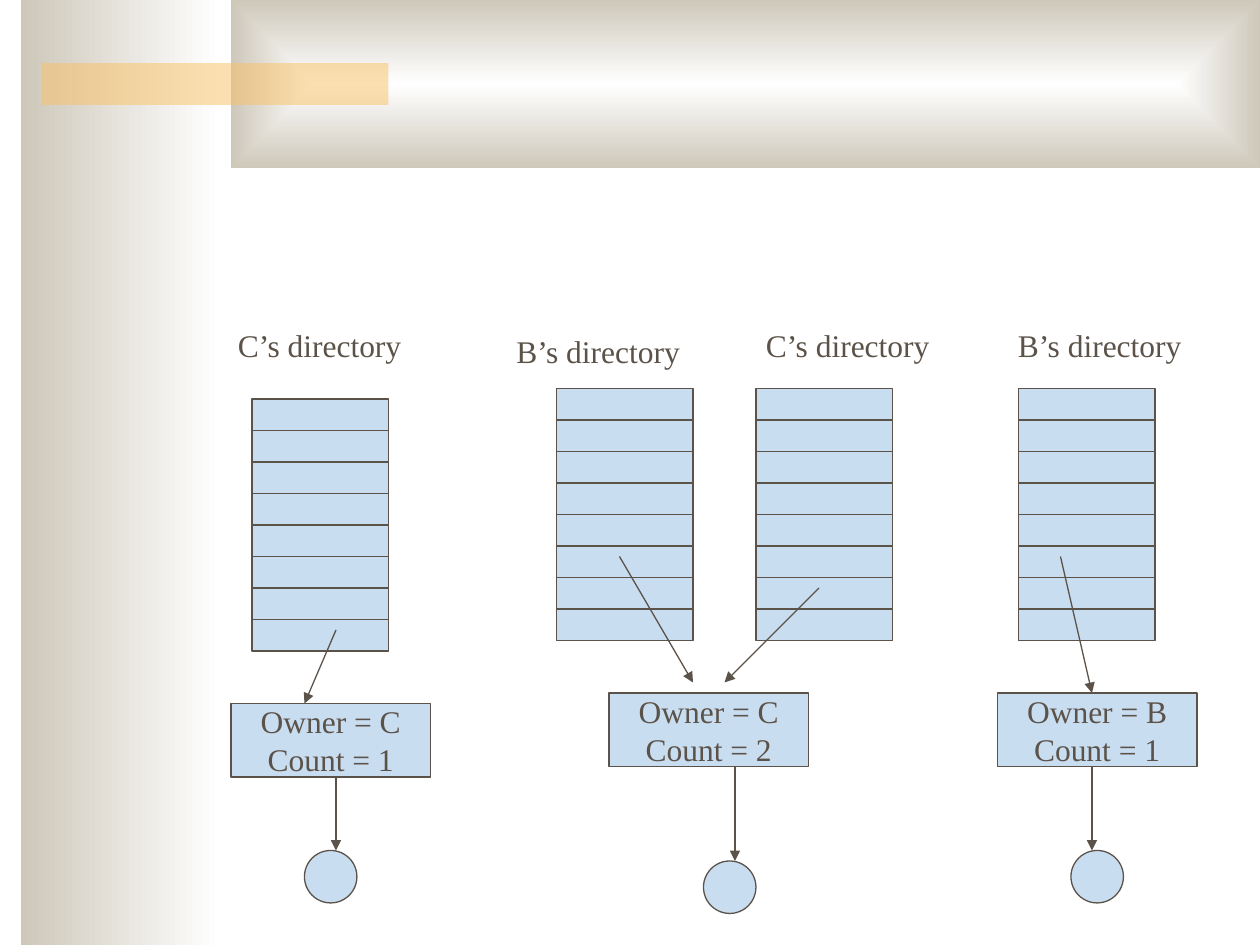
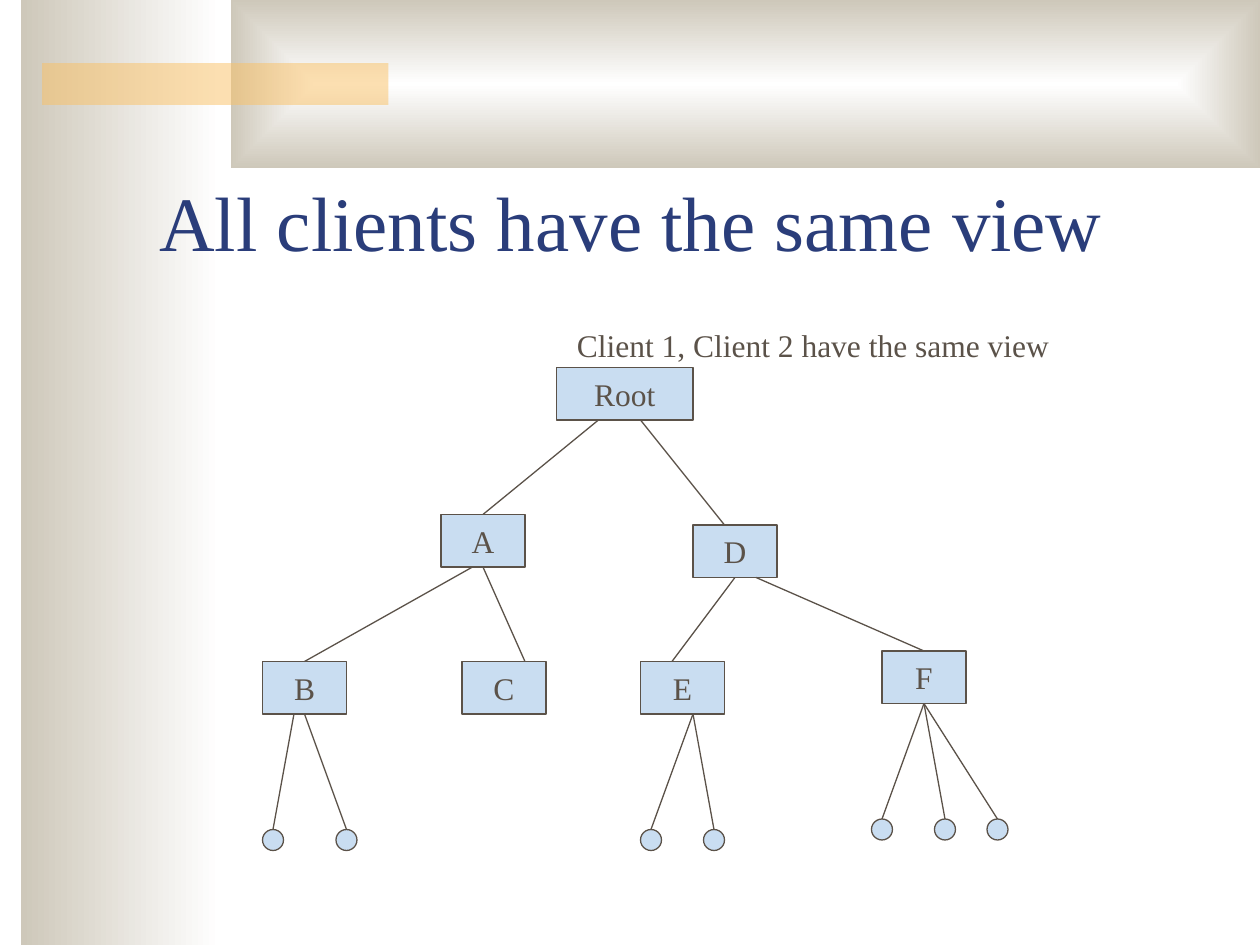
import dataclasses

import lxml.etree
import pptx
import pptx.dml.color
import pptx.enum.shapes
import pptx.enum.text
import pptx.oxml.ns
import pptx.util

Pt = pptx.util.Pt
qn = pptx.oxml.ns.qn
SHAPE = pptx.enum.shapes.MSO_SHAPE
ANCHOR = pptx.enum.text.MSO_ANCHOR
ALIGN = pptx.enum.text.PP_ALIGN


@dataclasses.dataclass(frozen=True)
class Theme:
    """Colours and type sizes of the deck."""
    white: str = "FFFFFF"
    sand: str = "CEC8BA"
    amber: str = "FAC164"
    sky: str = "C9DDF1"
    ink: str = "5B5249"
    navy: str = "2A3D7A"
    font: str = "Times New Roman"
    title_size: int = 44
    body_size: int = 18
    line_width: float = 0.75


THEME = Theme()


def rgb(value):
    """Turn a hex string into a colour."""
    return pptx.dml.color.RGBColor.from_string(value)


def add_xml(parent, tag, **attributes):
    """Append a drawing element to a parent and return it."""
    return lxml.etree.SubElement(parent, qn(tag), attributes)


def write(shape, text, size=THEME.body_size, color=THEME.ink, align=ALIGN.LEFT):
    """Fill a shape with text, one paragraph a line."""
    tf = shape.text_frame
    tf.text = text
    for p in tf.paragraphs:
        p.alignment = align
        for r in p.runs:
            r.font.name = THEME.font
            r.font.size = Pt(size)
            r.font.color.rgb = rgb(color)
    return tf


def add_block(s, kind, left, top, width, height, fill=THEME.sky, outlined=True):
    """Add a filled preset shape without a shadow."""
    sp = s.shapes.add_shape(kind, Pt(left), Pt(top), Pt(width), Pt(height))
    sp.shadow.inherit = False
    sp.fill.solid()
    sp.fill.fore_color.rgb = rgb(fill)
    if outlined:
        sp.line.color.rgb = rgb(THEME.ink)
        sp.line.width = Pt(THEME.line_width)
    else:
        sp.line.fill.background()
    return sp


def add_node(s, text, left, top, width, height):
    """Add a box with centred text."""
    sp = add_block(s, SHAPE.RECTANGLE, left, top, width, height)
    tf = write(sp, text, align=ALIGN.CENTER)
    tf.word_wrap = False
    tf.vertical_anchor = ANCHOR.MIDDLE
    return sp


def add_circle(s, left, top, diameter):
    """Add a round file marker."""
    return add_block(s, SHAPE.FLOWCHART_CONNECTOR, left, top, diameter, diameter)


def add_label(s, text, left, top, width):
    """Add a one-line free label."""
    tb = s.shapes.add_textbox(Pt(left), Pt(top), Pt(width), Pt(29))
    tf = write(tb, text)
    tf.word_wrap = False
    tf.auto_size = pptx.enum.text.MSO_AUTO_SIZE.SHAPE_TO_FIT_TEXT


def add_title(s, text):
    """Add the slide title."""
    tb = s.shapes.add_textbox(Pt(84), Pt(66), Pt(612), Pt(90))
    tf = write(tb, text, THEME.title_size, THEME.navy)
    tf.word_wrap = True
    tf.vertical_anchor = ANCHOR.BOTTOM


def add_line(s, x1, y1, x2, y2, arrow=False):
    """Add a straight line, with an arrowhead at its end if wanted."""
    cx = s.shapes.add_connector(pptx.enum.shapes.MSO_CONNECTOR.STRAIGHT, x1, y1, x2, y2)
    cx.line.color.rgb = rgb(THEME.ink)
    cx.line.width = Pt(THEME.line_width)
    sp_pr = cx._element.spPr
    if arrow:
        add_xml(sp_pr.find(qn("a:ln")), "a:tailEnd", type="triangle")
    add_xml(sp_pr, "a:effectLst")
    return cx


def add_link(s, parent, child, start_shift=0, end_shift=0, arrow=False):
    """Link a parent's bottom to a child's top, shifted sideways from their middles."""
    cx = add_line(s, parent.left + parent.width // 2 + Pt(start_shift),
                  parent.top + parent.height,
                  child.left + child.width // 2 + Pt(end_shift), child.top, arrow)
    if start_shift == 0:
        cx.begin_connect(parent, 2)
    if end_shift == 0:
        cx.end_connect(child, 0)


def add_directory(s, left, top, rows=8, width=78, row_height=18):
    """Add a directory drawn as a ruled stack of rows."""
    add_block(s, SHAPE.RECTANGLE, left, top, width, rows * row_height)
    for row in range(1, rows):
        y = Pt(top + row * row_height)
        add_line(s, Pt(left), y, Pt(left + width), y)


def add_gradient(s, left, top, width, height):
    """Add a band that fades from white to sand, and return it."""
    sp = add_block(s, SHAPE.RECTANGLE, left, top, width, height, outlined=False)
    sp.fill.gradient()
    sp.fill.gradient_angle = 180
    for stop, color, position in zip(sp.fill.gradient_stops, (THEME.white, THEME.sand), (0, 1)):
        stop.color.rgb = rgb(color)
        stop.position = position
    return sp


def add_slide(prs):
    """Add a blank slide with the shared bands."""
    s = prs.slides.add_slide(prs.slide_layouts[6])
    s.background.fill.solid()
    s.background.fill.fore_color.rgb = rgb(THEME.white)
    add_gradient(s, 12, 0, 114, 540)
    band = add_gradient(s, 132, 0, 588, 96)
    grad = band._element.spPr.find(qn("a:gradFill"))
    grad.remove(grad.find(qn("a:lin")))
    path = add_xml(grad, "a:path", path="rect")
    add_xml(path, "a:fillToRect", l="50000", t="50000", r="50000", b="50000")
    accent = add_block(s, SHAPE.RECTANGLE, 24, 36, 198, 24, THEME.amber, outlined=False)
    add_xml(accent._element.spPr.find(qn("a:solidFill"))[0], "a:alpha", val="50000")
    return s


def build_directories(prs):
    """Build the slide on owners and link counts."""
    s = add_slide(prs)
    for left, top in ((144, 228), (318, 222), (432, 222), (582, 222)):
        add_directory(s, left, top)
    for owner, left, top in (("C", 128.8, 183), ("B", 288, 186),
                             ("C", 430.6, 183), ("B", 574.6, 183)):
        add_label(s, f"{owner}’s directory", left, top, 108.7)
    files = (
        ("C", 1, (132, 402), (174, 486), (3, 3)),
        ("C", 2, (348, 396), (402, 492), (15, 3)),
        ("B", 1, (570, 396), (612, 486), (-3, -3)),
    )
    for owner, count, box_at, circle_at, shifts in files:
        box = add_node(s, f"Owner = {owner}\nCount = {count}", *box_at, 114, 42)
        circle = add_circle(s, *circle_at, 30)
        add_link(s, box, circle, *shifts, arrow=True)
    entries = ((192, 360, 174, 402), (354, 318, 396, 390),
               (468, 336, 414, 390), (606, 318, 624, 396))
    for entry in entries:
        add_line(s, *map(Pt, entry), arrow=True)


def build_tree(prs):
    """Build the slide on the shared directory tree."""
    s = add_slide(prs)
    add_title(s, "All clients have the same view")
    add_label(s, "Client 1, Client 2 have the same view", 322.6, 183, 284.4)
    nodes = {"Root": add_node(s, "Root", 318, 210, 78, 30)}
    for name, left, top in (("A", 252, 294), ("D", 396, 300), ("B", 150, 378),
                            ("C", 264, 378), ("E", 366, 378), ("F", 504, 372)):
        nodes[name] = add_node(s, name, left, top, 48, 30)
    branches = (("Root", "A", -15, 0), ("Root", "D", 9, -6), ("A", "B", -6, 0),
                ("A", "C", 0, 12), ("D", "E", 0, -6), ("D", "F", 12, 0))
    for parent, child, start_shift, end_shift in branches:
        add_link(s, nodes[parent], nodes[child], start_shift, end_shift)
    leaves = (("B", 150, 474, -6), ("B", 192, 474, 0), ("E", 366, 474, 6), ("E", 402, 474, 6),
              ("F", 498, 468, 0), ("F", 534, 468, 0), ("F", 564, 468, 0))
    for parent, left, top, start_shift in leaves:
        add_link(s, nodes[parent], add_circle(s, left, top, 12), start_shift)


def main():
    """Build and save the deck."""
    prs = pptx.Presentation()
    prs.slide_width = Pt(720)
    prs.slide_height = Pt(540)
    build_directories(prs)
    build_tree(prs)
    prs.save("out.pptx")


if __name__ == "__main__":
    main()
